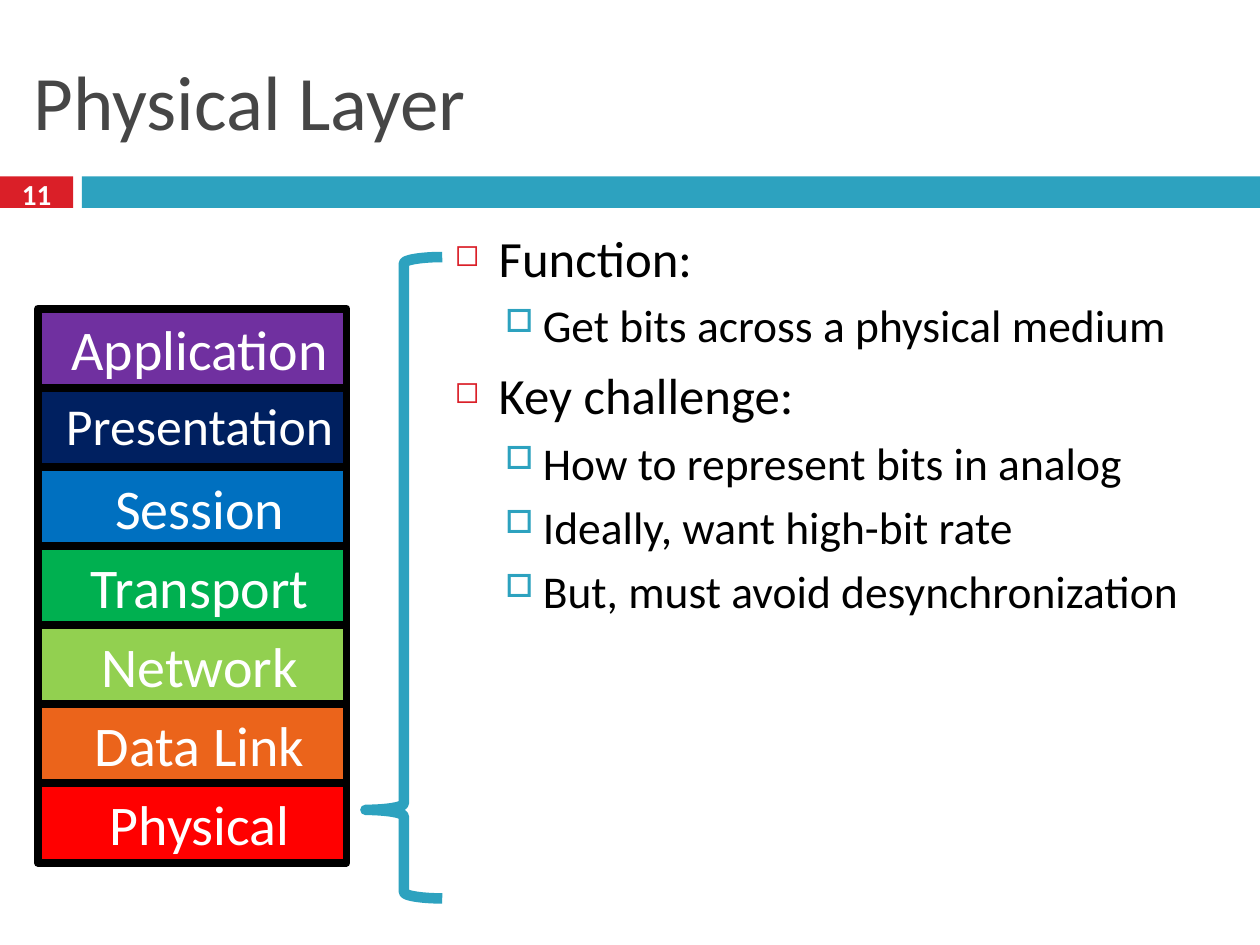
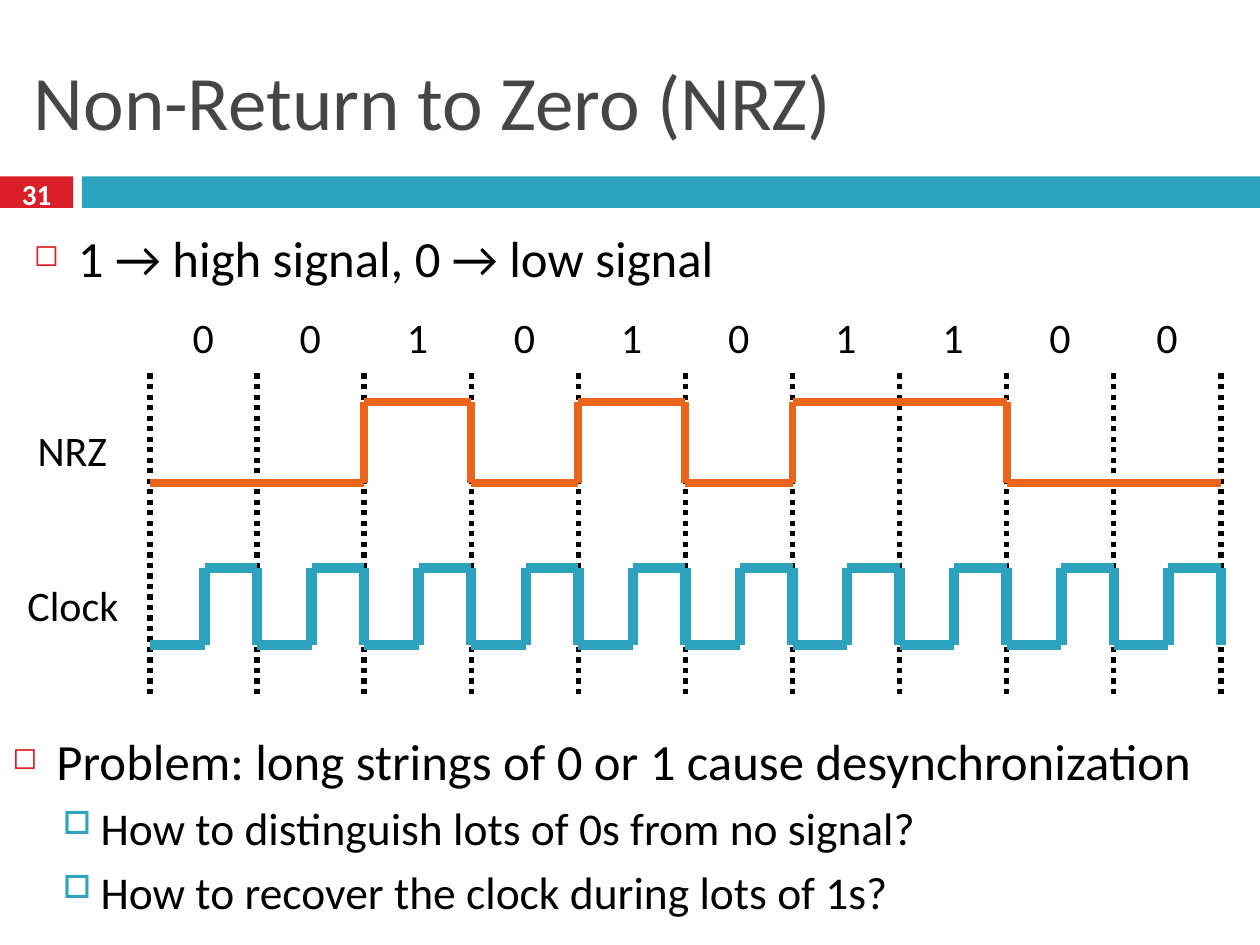
from dataclasses import dataclass
from itertools import groupby, pairwise

from lxml.etree import SubElement
from pptx import Presentation
from pptx.dml.color import RGBColor
from pptx.enum.dml import MSO_LINE
from pptx.enum.shapes import MSO_CONNECTOR, MSO_SHAPE as Preset
from pptx.enum.text import MSO_ANCHOR as Anchor, MSO_AUTO_SIZE as AutoSize, PP_ALIGN as Align
from pptx.oxml.ns import qn
from pptx.util import Inches, Pt


@dataclass(frozen=True)
class Theme:
    font: str = "Calibri"
    red: str = "DA1F28"
    teal: str = "2DA2BF"
    orange: str = "EB641B"
    grey: str = "464646"
    black: str = "000000"
    white: str = "FFFFFF"
    title_size: float = 44
    layer_size: float = 32
    long_layer_size: float = 29.6
    label_size: float = 24
    number_size: float = 16.6
    thin: float = 3
    medium: float = 4.5
    thick: float = 6


@dataclass(frozen=True)
class BulletLevel:
    size: float
    before: float
    margin: float
    hanging: float
    symbol: str
    color: str
    percent: int


THEME = Theme()
LEVELS = [
    BulletLevel(29, 7, 0.35, 0.35, "◻", THEME.red, 60),
    BulletLevel(26, 5.5, 0.7, 0.3, "□", THEME.teal, 70),
]
LAYERS = [
    ("Application", "7030A0"),
    ("Presentation", "002060"),
    ("Session", "0070C0"),
    ("Transport", "00B050"),
    ("Network", "92D050"),
    ("Data Link", THEME.orange),
    ("Physical", "FF0000"),
]
BITS = "0010101100"
GRID_LEFT, BIT_WIDTH = 1.19, 0.85


# Text
def write(para, text, size, color=THEME.black, bold=False, align=Align.LEFT):
    para.alignment = align
    span = para.add_run()
    span.text = text
    span.font.name = THEME.font
    span.font.size = Pt(size)
    span.font.bold = bold
    span.font.color.rgb = RGBColor.from_string(color)


def add_text_frame(page, left, top, width, height, wrap=True, anchor=Anchor.TOP):
    box = page.shapes.add_textbox(Inches(left), Inches(top), Inches(width), Inches(height))
    frame = box.text_frame
    frame.word_wrap = wrap
    frame.vertical_anchor = anchor
    return frame


def add_label(page, text, left, top, width):
    frame = add_text_frame(page, left, top, width, 0.5, wrap=False)
    frame.auto_size = AutoSize.SHAPE_TO_FIT_TEXT
    write(frame.paragraphs[0], text, THEME.label_size)


def set_bullet(para, style):
    para.space_before = Pt(style.before)
    props = para._p.get_or_add_pPr()
    props.set("marL", str(Inches(style.margin)))
    props.set("indent", str(-Inches(style.hanging)))
    color = SubElement(props, qn("a:buClr"))
    SubElement(color, qn("a:srgbClr"), val=style.color)
    SubElement(props, qn("a:buSzPct"), val=str(style.percent * 1000))
    SubElement(props, qn("a:buChar"), char=style.symbol)


def add_bullets(page, items, left, top, width, height):
    frame = add_text_frame(page, left, top, width, height)
    for index, (level, text) in enumerate(items):
        para = frame.add_paragraph() if index else frame.paragraphs[0]
        para.level = level
        write(para, text, LEVELS[level].size)
        set_bullet(para, LEVELS[level])


# Shapes and lines
def add_preset(page, preset, left, top, width, height, fill=None, line=None, weight=0):
    shape = page.shapes.add_shape(preset, Inches(left), Inches(top), Inches(width), Inches(height))
    shape.shadow.inherit = False
    if fill:
        shape.fill.solid()
        shape.fill.fore_color.rgb = RGBColor.from_string(fill)
    else:
        shape.fill.background()
    if line:
        shape.line.color.rgb = RGBColor.from_string(line)
        shape.line.width = Pt(weight)
    else:
        shape.line.fill.background()
    return shape


def add_line(page, start, end, color, weight, dash=None):
    points = [Inches(value) for value in (*start, *end)]
    line = page.shapes.add_connector(MSO_CONNECTOR.STRAIGHT, *points)
    line.line.color.rgb = RGBColor.from_string(color)
    line.line.width = Pt(weight)
    if dash:
        line.line.dash_style = dash
    SubElement(line._element.spPr, qn("a:effectLst"))


def add_wave(page, points, color, weight):
    for start, end in pairwise(points):
        add_line(page, start, end, color, weight)


# Shared frame of every slide
def add_page(deck, title, number):
    page = deck.slides.add_slide(deck.slide_layouts[6])
    add_preset(page, Preset.RECTANGLE, 0, 1.4, 0.58, 0.25, fill=THEME.red)
    add_preset(page, Preset.RECTANGLE, 0.65, 1.4, 9.35, 0.25, fill=THEME.teal)
    heading = add_text_frame(page, 0.17, 0.25, 9.67, 1.08, anchor=Anchor.MIDDLE)
    write(heading.paragraphs[0], title, THEME.title_size, THEME.grey)
    counter = add_text_frame(page, 0, 1.37, 0.58, 0.33, anchor=Anchor.MIDDLE)
    write(counter.paragraphs[0], str(number), THEME.number_size, THEME.white,
          bold=True, align=Align.CENTER)
    return page


# Layer stack
def add_layer(page, name, fill, top, height):
    box = add_preset(page, Preset.RECTANGLE, 0.3, top, 2.45, height,
                     fill=fill, line=THEME.black, weight=THEME.medium)
    box.text_frame.vertical_anchor = Anchor.TOP
    box.text_frame.word_wrap = True
    para = box.text_frame.paragraphs[0]
    size = THEME.long_layer_size if name == "Presentation" else THEME.layer_size
    write(para, name, size, THEME.white, align=Align.CENTER)
    para._p.get_or_add_pPr().set("marL", str(Inches(0.12)))


def build_physical_layer(deck):
    page = add_page(deck, "Physical Layer", 11)
    add_bullets(page, [
        (0, "Function:"),
        (1, "Get bits across a physical medium"),
        (0, "Key challenge:"),
        (1, "How to represent bits in analog"),
        (1, "Ideally, want high-bit rate"),
        (1, "But, must avoid desynchronization"),
    ], 3.51, 1.75, 6.49, 5.58)
    for index, (name, fill) in enumerate(LAYERS):
        add_layer(page, name, fill, 2.45 + 0.628 * index, 0.63)
    brace = add_preset(page, Preset.LEFT_BRACE, 2.9, 2.04, 0.61, 5.09,
                       line=THEME.teal, weight=THEME.thick)
    brace.adjustments[0] = 0.083
    brace.adjustments[1] = 0.862


# Signal diagram
def edge(index):
    return GRID_LEFT + BIT_WIDTH * index


def nrz_points(low, high):
    points, position = [], 0
    for bit, run in groupby(BITS):
        level = high if bit == "1" else low
        points.append((edge(position), level))
        position += len(list(run))
        points.append((edge(position), level))
    return points


def clock_points(low, high):
    points = [(edge(0), low)]
    for index in range(len(BITS)):
        middle, end = edge(index + 0.51), edge(index + 1)
        points += [(middle, low), (middle, high), (end, high), (end, low)]
    return points


def build_nrz(deck):
    page = add_page(deck, "Non-Return to Zero (NRZ)", 31)
    add_bullets(page, [(0, "1 → high signal, 0 → low signal")], 0.17, 1.75, 9.67, 0.67)
    for index in range(len(BITS) + 1):
        add_line(page, (edge(index), 5.51), (edge(index), 2.93),
                 THEME.black, THEME.thin, MSO_LINE.ROUND_DOT)
    add_wave(page, clock_points(5.12, 4.51), THEME.teal, THEME.thick)
    add_label(page, "Clock", 0.12, 4.55, 0.93)
    add_label(page, "NRZ", 0.2, 3.32, 0.76)
    add_wave(page, nrz_points(3.83, 3.19), THEME.orange, THEME.medium)
    for index, bit in enumerate(BITS):
        add_label(page, bit, edge(index) + 0.24, 2.42, 0.39)
    add_bullets(page, [
        (0, "Problem: long strings of 0 or 1 cause desynchronization"),
        (1, "How to distinguish lots of 0s from no signal?"),
        (1, "How to recover the clock during lots of 1s?"),
    ], 0, 5.74, 10, 1.76)


def main():
    deck = Presentation()
    deck.slide_width, deck.slide_height = Inches(10), Inches(7.5)
    build_physical_layer(deck)
    build_nrz(deck)
    deck.save("out.pptx")


if __name__ == "__main__":
    main()
